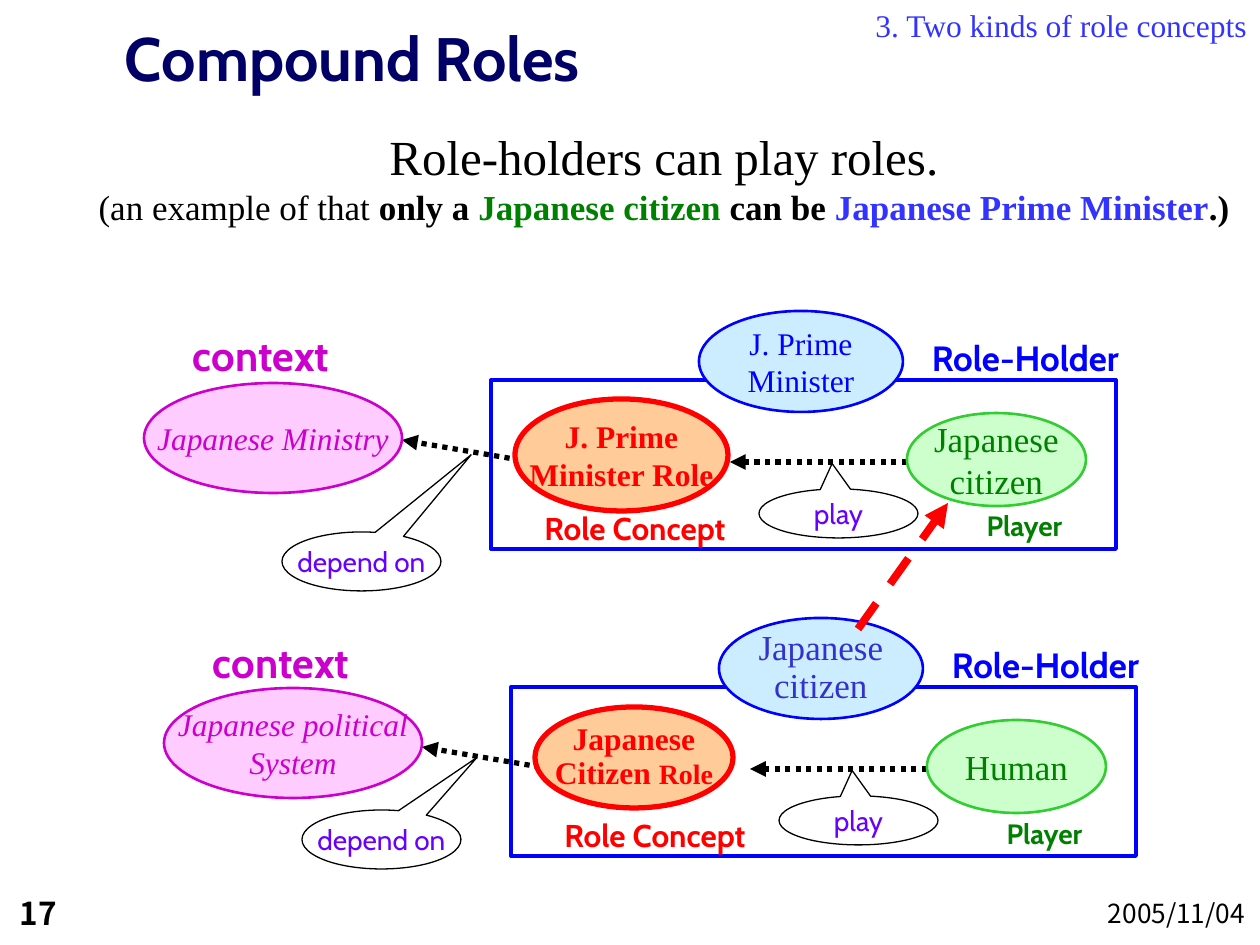
from dataclasses import dataclass, field

from lxml import etree
from pptx import Presentation
from pptx import util as u
from pptx.dml.color import RGBColor
from pptx.enum import dml, shapes, text
from pptx.oxml.ns import qn

PX = 914400 / 126
SHAPE = shapes.MSO_SHAPE
ALIGN = text.PP_ALIGN
ANCHOR = text.MSO_ANCHOR
DASH = dml.MSO_LINE


@dataclass
class Theme:
    serif: str = "Times New Roman"
    sans: str = "Cabin"
    plain: str = "Noto Sans CJK JP"
    type: dict = field(default_factory=dict)
    look: dict = field(default_factory=dict)

    def __post_init__(self):
        self.type = {
            "title": (self.sans, 35, "000066", "b"),
            "section": (self.serif, 18, "3333FF", ""),
            "lead": (self.serif, 28, "000000", ""),
            "body": (self.serif, 20, "000000", ""),
            "strong": (self.serif, 20, "000000", "b"),
            "strong green": (self.serif, 20, "008000", "b"),
            "strong blue": (self.serif, 20, "3333FF", "b"),
            "number": (self.plain, 18, "000000", "b"),
            "date": (self.plain, 15, "000000", ""),
            "context label": (self.sans, 24, "CC00CC", "b"),
            "role label": (self.sans, 18, "FF0000", "b"),
            "player label": (self.sans, 16, "008000", "b"),
            "holder label": (self.sans, 20, "0000FF", "b"),
            "bubble": (self.sans, 16, "6600FF", ""),
            "context": (self.serif, 18, "CC00CC", "i"),
            "role": (self.serif, 18, "FF0000", "b"),
            "role small": (self.serif, 16, "FF0000", "b"),
            "player": (self.serif, 20, "008000", ""),
            "holder": (self.serif, 18, "0000FF", ""),
            "citizen": (self.serif, 20, "3333CC", ""),
        }
        self.look = {
            "frame": (None, "0000FF", 2.25),
            "bubble": ("FFFFFF", "000000", 0.75),
            "role": ("FFCC99", "FF0000", 3),
            "player": ("CCFFCC", "33CC33", 1.5),
            "context": ("FFCCFF", "CC00CC", 1.5),
            "holder": ("CCECFF", "0000FF", 1.5),
            "relation": (None, "000000", 3),
            "promotion": (None, "FF0000", 4.5),
        }


THEME = Theme()

TITLE = [[("Compound Roles", "title")]]
SECTION = [[("3. Two kinds of role concepts", "section")]]
MESSAGE = [[
    ("Role-holders can play roles.", "lead"),
    None,
    ("(an example of that ", "body"),
    ("only a ", "strong"),
    ("Japanese citizen", "strong green"),
    (" can be ", "strong"),
    ("Japanese Prime Minister", "strong blue"),
    (".)", "strong"),
]]
NUMBER = [[("17", "number")]]
DATE = [[("2005/11/04", "date")]]

SCENE_STEP = (20, 307)
SCENES = [
    {
        "context": [[("Japanese Ministry", "context")]],
        "role": [[("J. Prime", "role")], [("Minister Role", "role")]],
        "player": [[("Japanese", "player")], [("citizen", "player")]],
        "holder": [[("J. Prime", "holder")], [("Minister", "holder")]],
        "context at": (144, 383, 258, 110),
        "role at": (515, 399, 213, 112),
        "depend at": (282, 532, 159, 59),
        "depend tip": (0.69, -1.81),
        "spacing": 1,
    },
    {
        "context": [[("Japanese political", "context")], [("System", "context")]],
        "role": [[("Japanese", "role")], [("Citizen ", "role"), ("Role", "role small")]],
        "player": [[("Human", "player")]],
        "holder": [[("Japanese", "citizen")], [("citizen", "citizen")]],
        "context at": (144, 381, 258, 110),
        "role at": (515, 400, 198, 101),
        "depend at": (282, 503, 159, 59),
        "depend tip": (0.6, -1.39),
        "spacing": 0.9,
    },
]

deck = Presentation()
deck.slide_width, deck.slide_height = u.Inches(10), u.Inches(7.5)
page = deck.slides.add_slide(deck.slide_layouts[6])


def emu(*lengths):
    return [round(length * PX) for length in lengths]


def write(shape, paragraphs, align=ALIGN.CENTER, anchor=ANCHOR.MIDDLE,
          wrap=False, insets=(13, 6, 13, 6), spacing=None):
    frame = shape.text_frame
    frame.word_wrap = wrap
    frame.vertical_anchor = anchor
    (frame.margin_left, frame.margin_top,
     frame.margin_right, frame.margin_bottom) = emu(*insets)
    for index, spans in enumerate(paragraphs):
        para = frame.add_paragraph() if index else frame.paragraphs[0]
        para.alignment = align
        if spacing:
            para.line_spacing = spacing
        for entry in spans:
            if entry is None:
                para.add_line_break()
                continue
            words, style = entry
            name, size, color, emphasis = THEME.type[style]
            span = para.add_run()
            span.text = words
            span.font.name = name
            span.font.size = u.Pt(size)
            span.font.color.rgb = RGBColor.from_string(color)
            span.font.bold = "b" in emphasis
            span.font.italic = "i" in emphasis


def add_text(at, paragraphs, align=ALIGN.CENTER, anchor=ANCHOR.TOP, **options):
    box = page.shapes.add_textbox(*emu(*at))
    write(box, paragraphs, align, anchor, **options)
    return box


def set_line(line, look):
    line.color.rgb = RGBColor.from_string(THEME.look[look][1])
    line.width = u.Pt(THEME.look[look][2])


def add_figure(kind, at, look, paragraphs=(), tip=(), spacing=None):
    figure = page.shapes.add_shape(kind, *emu(*at))
    figure.shadow.inherit = False
    fill = THEME.look[look][0]
    if fill:
        figure.fill.solid()
        figure.fill.fore_color.rgb = RGBColor.from_string(fill)
    else:
        figure.fill.background()
    set_line(figure.line, look)
    for index, value in enumerate(tip):
        figure.adjustments[index] = value
    write(figure, paragraphs, spacing=spacing)


def add_arrow(start, end, look, dash):
    arrow = page.shapes.add_connector(
        shapes.MSO_CONNECTOR.STRAIGHT, *emu(*start, *end))
    set_line(arrow.line, look)
    arrow.line.dash_style = dash
    etree.SubElement(arrow.line._get_or_add_ln(), qn("a:tailEnd"), type="triangle")
    etree.SubElement(arrow._element.spPr, qn("a:effectLst"))


def add_text_shadow(box):
    for span in box.text_frame.paragraphs[0].runs:
        effects = etree.Element(qn("a:effectLst"))
        shadow = etree.SubElement(effects, qn("a:outerShdw"), dist="17961", dir="2700000")
        etree.SubElement(shadow, qn("a:srgbClr"), val="808080")
        span.font._element.find(qn("a:solidFill")).addnext(effects)


def draw_scene(scene, dx, dy):
    def shift(x, y, *size):
        return (x + dx, y + dy, *size)

    def label(at, words, style, **options):
        add_text(shift(*at), [[(words, style)]], **options)

    def ellipse(part, at, spacing=None):
        add_figure(SHAPE.OVAL, shift(*at), part, scene[part], spacing=spacing)

    def bubble(at, words, tip):
        add_figure(SHAPE.OVAL_CALLOUT, shift(*at), "bubble", [[(words, "bubble")]], tip)

    def relation(start, end):
        add_arrow(shift(*start), shift(*end), "relation", DASH.ROUND_DOT)

    add_figure(SHAPE.RECTANGLE, shift(491, 380, 625, 169), "frame")
    label((501, 503, 268, 50), "Role Concept", "role label", wrap=True)
    label((193, 330, 161, 50), "context", "context label",
          align=ALIGN.LEFT, insets=(0, 0, 0, 0))
    relation((520, 460), (402, 440))
    bubble(scene["depend at"], "depend on", scene["depend tip"])
    label((968, 503, 113, 47), "Player", "player label")
    relation((907, 462), (730, 462))
    bubble((759, 489, 159, 49), "play", (-0.04, -1.02))
    ellipse("role", scene["role at"], scene["spacing"])
    ellipse("player", (907, 413, 179, 93))
    ellipse("context", scene["context at"])
    label((910, 330, 231, 54), "Role-Holder", "holder label")
    ellipse("holder", (699, 311, 204, 101), scene["spacing"])


add_text_shadow(add_text((110, 0, 1149, 100), TITLE, ALIGN.LEFT, ANCHOR.MIDDLE,
                         wrap=True, insets=(15, 15, 15, 0)))
for order, scene in enumerate(SCENES):
    draw_scene(scene, *(order * step for step in SCENE_STEP))
add_arrow((858, 629), (948, 503), "promotion", DASH.DASH)
add_text((84, 121, 1160, 113), MESSAGE, wrap=True)
add_text((323, 0, 937, 50), SECTION, ALIGN.RIGHT, wrap=True)
for at, paragraphs, align in [((5, 900, 113, 40), NUMBER, ALIGN.LEFT),
                              ((998, 896, 262, 49), DATE, ALIGN.RIGHT)]:
    add_text(at, paragraphs, align, ANCHOR.MIDDLE, wrap=True, insets=(15, 0, 15, 15))

deck.save("out.pptx")
